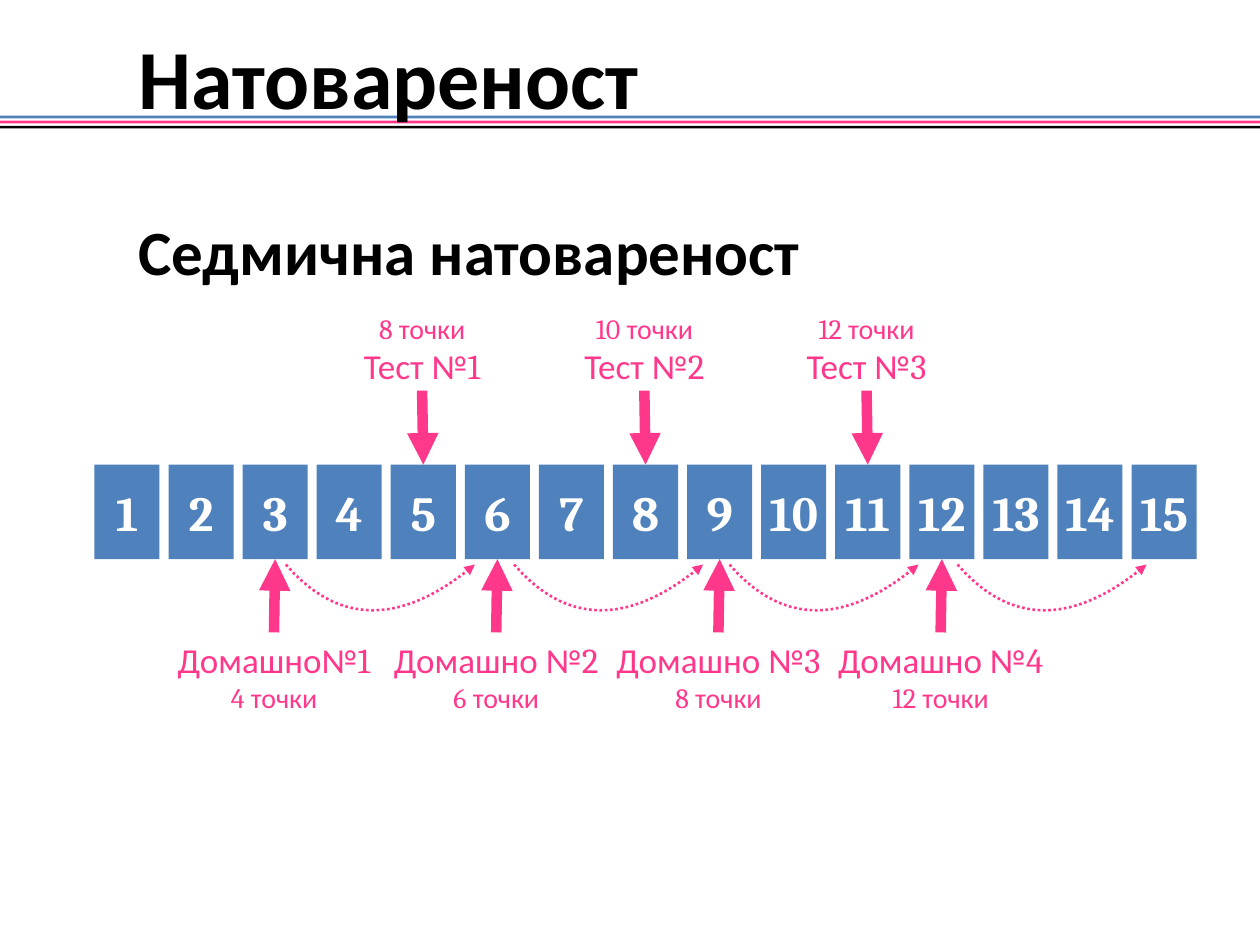
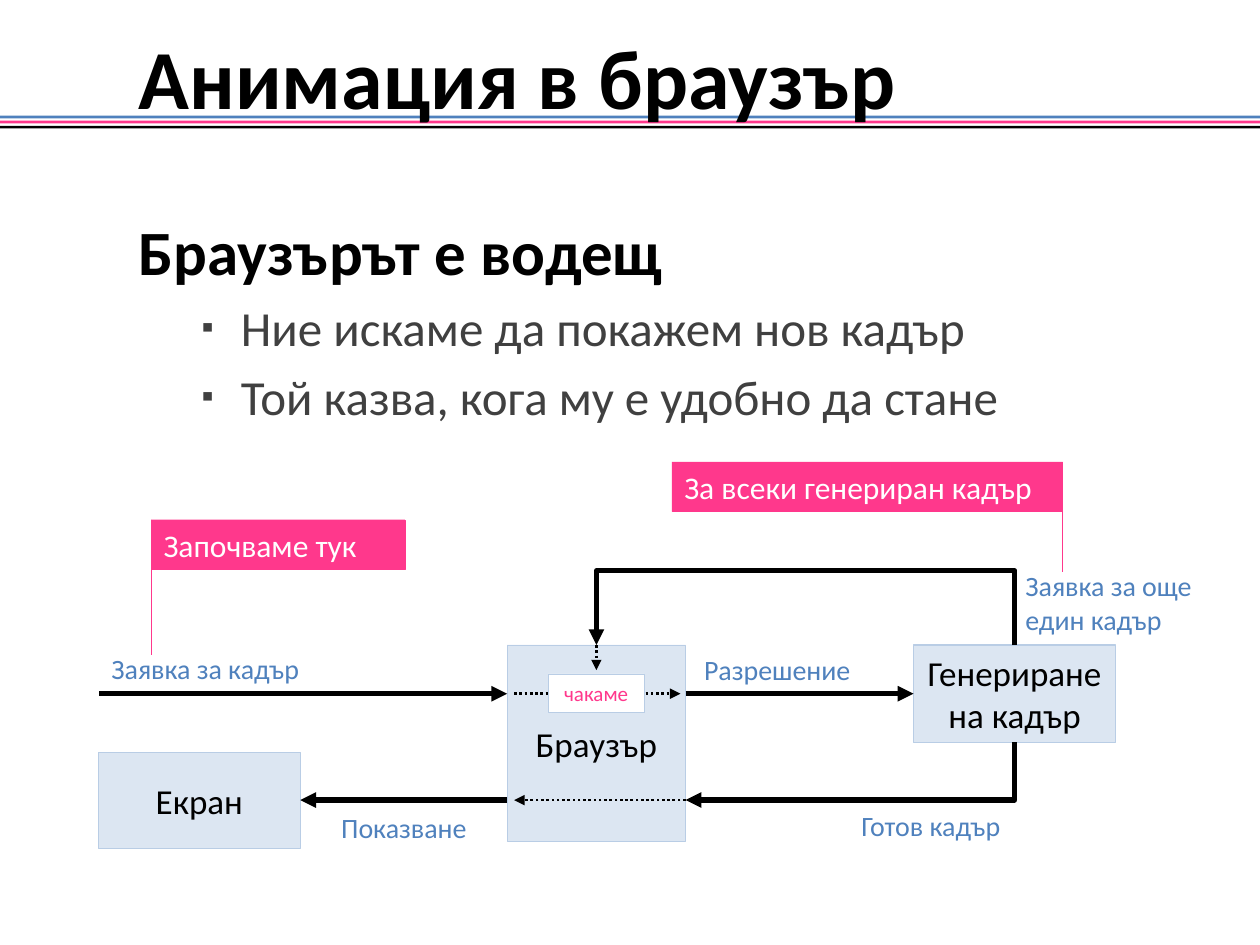
from lxml import etree
from pptx import Presentation
from pptx.dml.color import RGBColor
from pptx.enum.dml import MSO_LINE
from pptx.enum.shapes import MSO_CONNECTOR, MSO_SHAPE
from pptx.enum.text import MSO_ANCHOR, MSO_AUTO_SIZE, PP_ALIGN
from pptx.oxml.ns import qn
from pptx.util import Pt

BLUE = RGBColor(0x4F, 0x81, 0xBD)
PINK = RGBColor(0xFF, 0x38, 0x8C)
BLACK = RGBColor(0, 0, 0)
WHITE = RGBColor(0xFF, 0xFF, 0xFF)
GREY = RGBColor(0x40, 0x40, 0x40)
PALE = RGBColor(0xDC, 0xE6, 0xF2)
EDGE = RGBColor(0xB9, 0xCD, 0xE5)

LEFT, CENTER, RIGHT = PP_ALIGN.LEFT, PP_ALIGN.CENTER, PP_ALIGN.RIGHT
TOP, MIDDLE = MSO_ANCHOR.TOP, MSO_ANCHOR.MIDDLE
NO_AUTOFIT = MSO_AUTO_SIZE.NONE
DOTTED = MSO_LINE.ROUND_DOT
STRAIGHT = MSO_CONNECTOR.STRAIGHT
RECTANGLE = MSO_SHAPE.RECTANGLE
SITE_TOP, SITE_LEFT, SITE_BOTTOM, SITE_RIGHT = range(4)

TEXT_FONT = "Calibri"
NUMBER_FONT = "Cambria"


class Deck:
    def __init__(self):
        self.presentation = Presentation()
        self.presentation.slide_width = Pt(720)
        self.presentation.slide_height = Pt(540)
        self.layout = self.presentation.slide_layouts[1]
        self.slide = None

    def new_slide(self, title, heading, bullets=()):
        self.slide = self.presentation.slides.add_slide(self.layout)
        if len(self.presentation.slides) == 1:
            self.add_bands_to_layout()
        self.title(title)
        self.body(heading, bullets)

    def add_bands_to_layout(self):
        for index, color in enumerate((BLUE, PINK, BLACK)):
            band = self.box(-6, 66.1 + 2.9 * index, 732, 1.5, color)
            self.layout.shapes.element.insert(2 + index, band.element)

    def place(self, shape, left, top, width, height):
        shape.left, shape.top = Pt(left), Pt(top)
        shape.width, shape.height = Pt(width), Pt(height)

    def style_font(self, font, size, color, name=TEXT_FONT, bold=False):
        font.size, font.name, font.bold = Pt(size), name, bold
        font.color.rgb = color

    def indent(self, paragraph, margin, first_line=0, bullet=None):
        properties = paragraph._p.get_or_add_pPr()
        properties.set("marL", str(Pt(margin)))
        properties.set("indent", str(Pt(first_line)))
        if bullet is None:
            etree.SubElement(properties, qn("a:buNone"))
            return
        bullet_color = etree.SubElement(properties, qn("a:buClr"))
        etree.SubElement(bullet_color, qn("a:srgbClr"), val=str(GREY))
        etree.SubElement(properties, qn("a:buSzPct"), val="70000")
        etree.SubElement(properties, qn("a:buChar"), char=bullet)

    def title(self, text):
        shape = self.slide.shapes.title
        self.place(shape, 0, 18, 720, 51)
        frame = shape.text_frame
        frame.text = text
        frame.auto_size = NO_AUTOFIT
        frame.vertical_anchor = MIDDLE
        paragraph = frame.paragraphs[0]
        paragraph.alignment = LEFT
        self.indent(paragraph, 72)
        self.style_font(paragraph.font, 48, BLACK, bold=True)

    def body(self, heading, bullets):
        shape = self.slide.placeholders[1]
        self.place(shape, 72, 96, 642, 438)
        frame = shape.text_frame
        frame.text = heading
        frame.auto_size = NO_AUTOFIT
        first = frame.paragraphs[0]
        first.line_spacing = 1.5
        first.space_before = Pt(0)
        self.indent(first, 0)
        self.style_font(first.font, 36, BLACK, bold=True)
        for text in bullets:
            paragraph = frame.add_paragraph()
            paragraph.text = text
            paragraph.level = 1
            paragraph.space_before = Pt(5.6)
            self.indent(paragraph, 58.5, -22.5, "▪")
            self.style_font(paragraph.font, 28, GREY)

    def set_text(self, shape, text, size, color, alignment=CENTER, anchor=MIDDLE,
                 name=TEXT_FONT, bold=False, side_inset=7.2, wrap=True):
        frame = shape.text_frame
        frame.text = text
        frame.word_wrap = wrap
        frame.vertical_anchor = anchor
        frame.margin_left = frame.margin_right = Pt(side_inset)
        for paragraph in frame.paragraphs:
            paragraph.alignment = alignment
            self.style_font(paragraph.font, size, color, name, bold)

    def box(self, left, top, width, height, fill, edge=None, edge_width=0.25):
        shape = self.slide.shapes.add_shape(
            RECTANGLE, Pt(left), Pt(top), Pt(width), Pt(height))
        shape.shadow.inherit = False
        shape.fill.solid()
        shape.fill.fore_color.rgb = fill
        if edge is None:
            shape.line.fill.background()
        else:
            shape.line.color.rgb = edge
            shape.line.width = Pt(edge_width)
        return shape

    def text_box(self, left, top, width, height):
        return self.slide.shapes.add_textbox(
            Pt(left), Pt(top), Pt(width), Pt(height))

    def label(self, text, left, top, width, height=26.6, alignment=LEFT):
        shape = self.text_box(left, top, width, height)
        self.set_text(shape, text, 16, BLUE, alignment)

    def mixed_label(self, lines, center, top, width, height, side_inset):
        frame = self.text_box(center - width / 2, top, width, height).text_frame
        frame.word_wrap = True
        frame.margin_left = frame.margin_right = Pt(side_inset)
        for index, (size, pieces) in enumerate(lines):
            paragraph = frame.add_paragraph() if index else frame.paragraphs[0]
            paragraph.alignment = CENTER
            for text in pieces:
                run = paragraph.add_run()
                run.text = text
                name = NUMBER_FONT if text.isdecimal() else TEXT_FONT
                self.style_font(run.font, size, PINK, name)

    def style_line(self, shape, color, width, dash=None, arrow=True):
        shape.line.color.rgb = color
        shape.line.width = Pt(width)
        if dash is not None:
            shape.line.dash_style = dash
        if arrow:
            outline = shape.element.spPr.find(qn("a:ln"))
            etree.SubElement(outline, qn("a:tailEnd"), type="triangle")

    def connector(self, start, end, color, width, dash=None, arrow=True,
                  begin_at=None, end_at=None):
        connector = self.slide.shapes.add_connector(
            STRAIGHT, *(Pt(value) for value in (*start, *end)))
        if begin_at:
            connector.begin_connect(*begin_at)
        if end_at:
            connector.end_connect(*end_at)
        self.style_line(connector, color, width, dash, arrow)
        etree.SubElement(connector.element.spPr, qn("a:effectLst"))

    def path_arrow(self, points, color, width, dash=None):
        points = [(Pt(x), Pt(y)) for x, y in points]
        builder = self.slide.shapes.build_freeform(*points[0], scale=1.0)
        builder.add_line_segments(points[1:], close=False)
        shape = builder.convert_to_shape()
        shape.shadow.inherit = False
        shape.fill.background()
        self.style_line(shape, color, width, dash)

    def callout(self, text, left, top, width, pole_x, pole_bottom):
        shape = self.box(left, top, width, 28.4, PINK, PINK)
        self.set_text(shape, text, 18, WHITE, LEFT, TOP)
        self.connector((pole_x, top), (pole_x, pole_bottom), PINK, 0.25, arrow=False)


def curve_points(left, top, steps=24):
    controls = ((0, 0), (39.8, 46.1), (82, 21.6), (108, 0))
    points = []
    for step in range(steps + 1):
        t = step / steps
        weights = ((1 - t) ** 3, 3 * t * (1 - t) ** 2, 3 * t ** 2 * (1 - t), t ** 3)
        points.append((
            left + sum(w * x for w, (x, _) in zip(weights, controls)),
            top + sum(w * y for w, (_, y) in zip(weights, controls))))
    return points


def build_workload(deck):
    deck.new_slide("Натовареност", "Седмична натовареност")
    first_left, pitch, width, top, height = 54, 42.33, 37.2, 265.5, 54
    weeks = {}
    for week in range(1, 16):
        left = first_left + pitch * (week - 1)
        weeks[week] = deck.box(left, top, width, height, BLUE)
        deck.set_text(weeks[week], str(week), 28, WHITE, name=NUMBER_FONT,
                      bold=True, side_inset=0)

    def event_center(week):
        return first_left + pitch * (week - 1) + width / 2 - 0.7

    for number, (week, points) in enumerate(((5, "8"), (8, "10"), (11, "12")), 1):
        center = event_center(week)
        deck.mixed_label([(16, (points, " точки")), (20, ("Тест №", str(number)))],
                         center, 174.2, 110, 49.7, 7.2)
        deck.connector((center, 223.2), (center, top), PINK, 6,
                       end_at=(weeks[week], SITE_TOP))

    homework = ((3, "Домашно№", "4"), (6, "Домашно №", "6"),
                (9, "Домашно №", "8"), (12, "Домашно №", "12"))
    for number, (week, name, points) in enumerate(homework, 1):
        center = event_center(week)
        deck.connector((center, 361.4), (center, top + height), PINK, 6,
                       end_at=(weeks[week], SITE_BOTTOM))
        deck.mixed_label([(20, (name, str(number))), (16, (points, " точки"))],
                         center, 361.4, 121, 55.4, 0)

    for left in (163.4, 293.8, 416.9, 547.2):
        deck.path_arrow(curve_points(left, 322.6), PINK, 1.5, DOTTED)


def build_browser_animation(deck):
    deck.new_slide("Анимация в браузър", "Браузърът е водещ",
                   ("Ние искаме да покажем нов кадър",
                    "Той казва, кога му е удобно да стане"))
    request_row, frame_row = 396.4, 457.2
    browser_left, browser_right, browser_top, browser_center = 289.8, 391.8, 368.6, 340.8
    generator_left, generator_center, generator_bottom = 522, 579.8, 424.2

    generator = deck.box(generator_left, browser_top, 115.6, 55.6, PALE, EDGE, 0.75)
    deck.set_text(generator, "Генериране\nна кадър", 20, BLACK, wrap=False)
    browser = deck.box(browser_left, browser_top, 102, 112.2, PALE, EDGE)
    deck.set_text(browser, "Браузър", 20, BLACK)
    screen = deck.box(56.2, 429.8, 115.4, 54.8, PALE, EDGE)
    deck.set_text(screen, "Екран", 20, BLACK)

    deck.path_arrow(((generator_center, generator_bottom),
                     (generator_center, frame_row),
                     (browser_right, frame_row)), BLACK, 3)
    deck.path_arrow(((generator_center, browser_top), (generator_center, 326.2),
                     (browser_center, 326.2), (browser_center, browser_top)), BLACK, 3)
    deck.connector((browser_right, request_row), (generator_left, request_row),
                   BLACK, 3, end_at=(generator, SITE_LEFT))
    deck.connector((browser_left, frame_row), (171.6, frame_row), BLACK, 3,
                   end_at=(screen, SITE_RIGHT))
    deck.connector((56.6, request_row), (browser_left, request_row), BLACK, 3)

    deck.label("Разрешение", 395.3, 369.4, 158.4)
    deck.label("Показване", 171.4, 459.4, 118.8, alignment=CENTER)
    deck.label("Готов кадър", 442.8, 458.6, 136, alignment=RIGHT)
    deck.label("Заявка за кадър", 56.6, 368.8, 229.7)
    deck.label("Заявка за още един кадър", 578.9, 321.2, 114.5, 46)

    deck.callout("Започваме тук", 86.4, 297, 145, 86.4, 374.4)
    deck.callout("За всеки генериран кадър", 384, 264, 223.2, 607.2, 326.8)

    deck.connector((293.8, request_row), (388.8, request_row), BLACK, 1.5, DOTTED)
    waiting = deck.box(313.2, 385, 55, 21.8, WHITE, EDGE)
    deck.set_text(waiting, "чакаме", 12, PINK)
    deck.connector((browser_center, browser_top), (browser_center, 383), BLACK, 1.5,
                   DOTTED, begin_at=(browser, SITE_TOP))
    deck.connector((browser_right, frame_row), (293.8, frame_row), BLACK, 1.5, DOTTED)


def main():
    deck = Deck()
    build_workload(deck)
    build_browser_animation(deck)
    deck.presentation.save("out.pptx")


if __name__ == "__main__":
    main()
